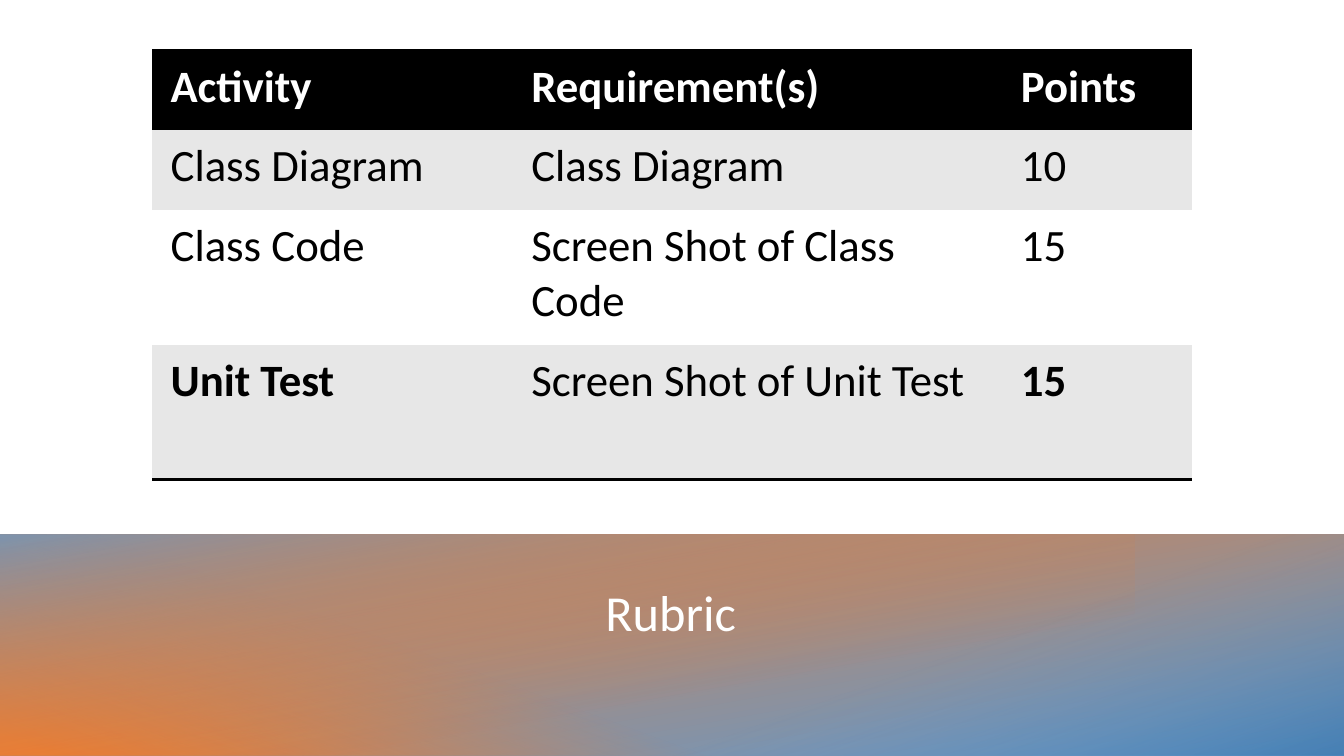
from typing import NamedTuple

from lxml.etree import SubElement
from pptx import Presentation
from pptx.dml.color import RGBColor
from pptx.enum.shapes import MSO_SHAPE
from pptx.enum.text import MSO_ANCHOR, PP_ALIGN
from pptx.oxml.ns import qn
from pptx.slide import Slide
from pptx.table import _Cell
from pptx.text.text import _Paragraph
from pptx.util import Cm, Pt

FONT = "Calibri"
BLACK = RGBColor(0x00, 0x00, 0x00)
WHITE = RGBColor(0xFF, 0xFF, 0xFF)
GRAY = RGBColor(0xE7, 0xE7, 0xE7)
BLUE = RGBColor(0x5B, 0x9B, 0xD5)
NAVY = RGBColor(0x1F, 0x4E, 0x79)
ORANGE = RGBColor(0xED, 0x7D, 0x31)


class Stop(NamedTuple):
    position: int  # percent
    color: RGBColor
    opacity: int = 100  # percent


class Band(NamedTuple):
    left: float  # cm
    width: float  # cm
    angle: int  # degrees, clockwise
    stops: tuple[Stop, Stop]
    rotation: int = 0


class Row(NamedTuple):
    texts: tuple[str, str, str]
    height: float  # cm
    fill: RGBColor
    color: RGBColor = BLACK
    bold: tuple[bool, bool, bool] = (False, False, False)
    ruled: str = ""  # edges that carry a line


BAND_TOP, BAND_HEIGHT = 13.46, 5.59
BANDS = [
    Band(-0.03, 33.9, 80, (Stop(0, BLUE), Stop(100, ORANGE)), 180),
    Band(-0.03, 29.36, 290, (Stop(3, ORANGE), Stop(40, ORANGE, 0))),
    Band(-0.03, 28.63, 80, (Stop(0, BLUE, 76), Stop(67, ORANGE, 0))),
    Band(11.4, 22.47, 70, (Stop(0, NAVY, 36), Stop(45, BLUE, 0)), 180),
]

COLUMNS = [9.09, 12.34, 4.77]
ROWS = [
    Row(("Activity", "Requirement(s)", "Points"), 2.01, BLACK, WHITE,
        (True, True, True), "TB"),
    Row(("Class Diagram", "Class Diagram", "10"), 2.01, GRAY),
    Row(("Class Code", "Screen Shot of Class Code", "15"), 3.4, WHITE),
    Row(("Unit Test", "Screen Shot of Unit Test", "15"), 3.4, GRAY,
        bold=(True, False, True), ruled="B"),
]


def add_run(p: _Paragraph, text: str, size: int, color: RGBColor,
            bold: bool = False) -> None:
    r = p.add_run()
    r.text = text
    r.font.name = FONT
    r.font.size = Pt(size)
    r.font.bold = bold
    r.font.color.rgb = color


def add_band(slide: Slide, band: Band) -> None:
    s = slide.shapes.add_shape(MSO_SHAPE.RECTANGLE, Cm(band.left), Cm(BAND_TOP),
                               Cm(band.width), Cm(BAND_HEIGHT))
    s.rotation = band.rotation
    s.shadow.inherit = False
    s.line.fill.background()
    s.fill.background()
    # Gradient with transparency takes the place of the empty fill
    props = s._element.spPr
    grad = SubElement(props, qn("a:gradFill"), rotWithShape="1")
    stops = SubElement(grad, qn("a:gsLst"))
    for stop in band.stops:
        gs = SubElement(stops, qn("a:gs"), pos=str(stop.position * 1000))
        color = SubElement(gs, qn("a:srgbClr"), val=str(stop.color))
        SubElement(color, qn("a:alpha"), val=str(stop.opacity * 1000))
    SubElement(grad, qn("a:lin"), ang=str(band.angle * 60000), scaled="0")
    props.replace(props.find(qn("a:noFill")), grad)


def set_borders(cell: _Cell, ruled: str) -> None:
    props = cell._tc.get_or_add_tcPr()
    for edge in "LRTB":
        line = SubElement(props, qn(f"a:ln{edge}"), w=str(Pt(2)))
        if edge in ruled:
            fill = SubElement(line, qn("a:solidFill"))
            SubElement(fill, qn("a:srgbClr"), val=str(BLACK))
        else:
            SubElement(line, qn("a:noFill"))


def add_rubric(slide: Slide) -> None:
    table = slide.shapes.add_table(
        len(ROWS), len(COLUMNS), Cm(3.84), Cm(1.27),
        Cm(sum(COLUMNS)), Cm(sum(row.height for row in ROWS))).table
    table.first_row = table.horz_banding = False
    for column, width in zip(table.columns, COLUMNS):
        column.width = Cm(width)
    for i, row in enumerate(ROWS):
        table.rows[i].height = Cm(row.height)
        for j, (text, bold) in enumerate(zip(row.texts, row.bold)):
            cell = table.cell(i, j)
            set_borders(cell, row.ruled)
            cell.fill.solid()
            cell.fill.fore_color.rgb = row.fill
            cell.margin_left = cell.margin_right = Cm(0.46)
            cell.margin_top = cell.margin_bottom = Cm(0.23)
            add_run(cell.text_frame.paragraphs[0], text, 32, row.color, bold)


def add_title(slide: Slide, text: str) -> None:
    tf = slide.shapes.add_textbox(Cm(4.47), Cm(14.35), Cm(24.87), Cm(1.96)).text_frame
    tf.word_wrap = True
    tf.vertical_anchor = MSO_ANCHOR.BOTTOM
    p = tf.paragraphs[0]
    p.alignment = PP_ALIGN.CENTER
    p.line_spacing = 0.9
    add_run(p, text, 36, WHITE)


def main() -> None:
    prs = Presentation()
    prs.slide_width, prs.slide_height = Cm(33.87), Cm(19.05)
    slide = prs.slides.add_slide(prs.slide_layouts[6])

    # Layered gradient footer
    for band in BANDS:
        add_band(slide, band)

    # Title and grading table
    add_title(slide, "Rubric")
    add_rubric(slide)

    prs.save("out.pptx")


if __name__ == "__main__":
    main()
